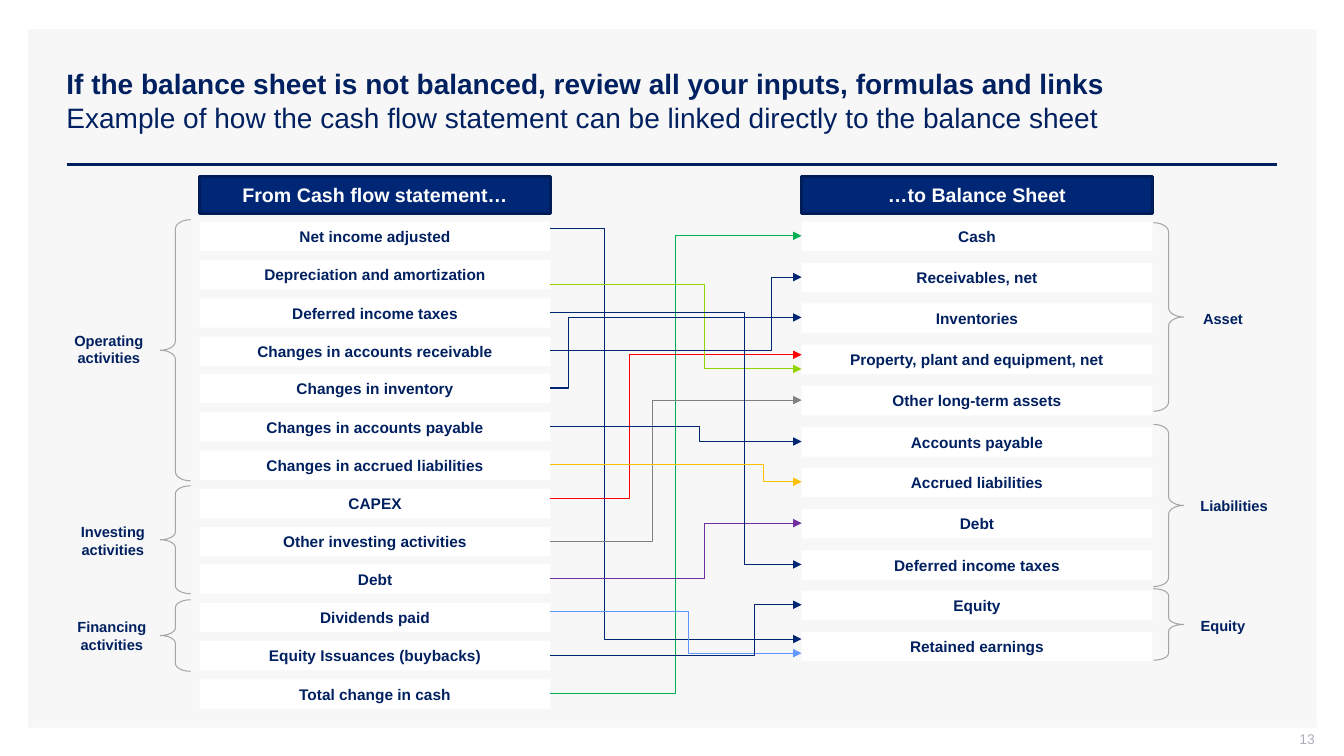
from dataclasses import dataclass

from pptx import Presentation
from pptx.dml.color import RGBColor
from pptx.enum.shapes import MSO_CONNECTOR, MSO_SHAPE
from pptx.enum.text import MSO_ANCHOR, PP_ALIGN
from pptx.oxml.ns import qn
from pptx.shapes.connector import Connector
from pptx.slide import Slide
from pptx.text.text import TextFrame
from pptx.util import Emu, Pt
from lxml.etree import SubElement

EMU_PER_PX = 9144  # 100 px to the inch


@dataclass(frozen=True)
class Theme:
    font: str = "Arial"
    panel: str = "F7F7F7"
    white: str = "FFFFFF"
    text: str = "002060"
    header: str = "002776"
    header_edge: str = "001D57"
    brace: str = "A6A6A6"
    page_number: str = "ADAFBB"
    navy: str = "002673"
    green: str = "00B050"
    lime: str = "92D400"
    blue: str = "6296FF"
    purple: str = "7030A0"
    red: str = "FF0000"
    grey: str = "808080"
    amber: str = "FFC000"
    title_size: float = 20
    header_size: float = 14
    row_size: float = 11
    label_size: float = 10.5
    number_size: float = 10
    thick: float = 2
    thin: float = 0.75


THEME = Theme()


@dataclass(frozen=True)
class Box:
    left: int
    top: int
    width: int
    height: int


@dataclass(frozen=True)
class Column:
    heading: str
    left: int
    last_top: int
    rows: tuple[str, ...]

    def row_top(self, name: str) -> int:
        step = (self.last_top - FIRST_TOP) / (len(self.rows) - 1)
        return round(FIRST_TOP + step * self.rows.index(name))


@dataclass(frozen=True)
class Group:
    label: str
    label_box: Box
    brace: MSO_SHAPE
    brace_box: Box
    curl: float


@dataclass(frozen=True)
class Link:
    source: str
    target: str
    bend: int
    colour: str = THEME.navy
    start_shift: int = 0
    end_shift: int = 0


FIRST_TOP, ROW_WIDTH, ROW_HEIGHT = 220, 348, 29
HEADER_TOP, HEADER_HEIGHT = 175, 37

CASH_FLOW = Column("From Cash flow statement…", 198, 674, (
    "Net income adjusted", "Depreciation and amortization", "Deferred income taxes",
    "Changes in accounts receivable", "Changes in inventory", "Changes in accounts payable",
    "Changes in accrued liabilities", "CAPEX", "Other investing activities", "Debt",
    "Dividends paid", "Equity Issuances (buybacks)", "Total change in cash"))
BALANCE = Column("…to Balance Sheet", 795, 627, (
    "Cash", "Receivables, net", "Inventories", "Property, plant and equipment, net",
    "Other long-term assets", "Accounts payable", "Accrued liabilities", "Debt",
    "Deferred income taxes", "Equity", "Retained earnings"))

LEFT, RIGHT = MSO_SHAPE.LEFT_BRACE, MSO_SHAPE.RIGHT_BRACE
GROUPS = (
    Group("Operating activities", Box(48, 324, 120, 45), LEFT, Box(159, 218, 30, 259), 0.3),
    Group("Investing activities", Box(52, 514, 120, 45), LEFT, Box(159, 482, 30, 107), 0.26),
    Group("Financing activities", Box(51, 608, 120, 45), LEFT, Box(159, 595, 30, 71), 0.26),
    Group("Asset", Box(1153, 302, 120, 28), RIGHT, Box(1144, 221, 30, 187), 0.3),
    Group("Liabilities", Box(1164, 488, 120, 28), RIGHT, Box(1144, 421, 30, 161), 0.3),
    Group("Equity", Box(1153, 607, 120, 28), RIGHT, Box(1144, 584, 30, 71), 0.23),
)
LINKS = (
    Link("Total change in cash", "Cash", 670, THEME.green),
    Link("Net income adjusted", "Retained earnings", 600, start_shift=-7, end_shift=-7),
    Link("Dividends paid", "Retained earnings", 683, THEME.blue, -5, 7),
    Link("Equity Issuances (buybacks)", "Equity", 748),
    Link("Debt", "Debt", 699, THEME.purple),
    Link("CAPEX", "Property, plant and equipment, net", 624, THEME.red, -4, -4),
    Link("Other investing activities", "Other long-term assets", 647, THEME.grey),
    Link("Depreciation and amortization", "Property, plant and equipment, net", 699,
         THEME.lime, 10, 10),
    Link("Deferred income taxes", "Deferred income taxes", 738),
    Link("Changes in accounts receivable", "Receivables, net", 765),
    Link("Changes in inventory", "Inventories", 564),
    Link("Changes in accounts payable", "Accounts payable", 694),
    Link("Changes in accrued liabilities", "Accrued liabilities", 757, THEME.amber),
)


def px(length: int) -> Emu:
    return Emu(length * EMU_PER_PX)


def place(box: Box) -> tuple[Emu, Emu, Emu, Emu]:
    return px(box.left), px(box.top), px(box.width), px(box.height)


def write(frame: TextFrame, spans: tuple[str, ...], size: float, colour: str,
          align: PP_ALIGN = PP_ALIGN.CENTER, bold: bool | None = True,
          anchor: MSO_ANCHOR = MSO_ANCHOR.MIDDLE) -> None:
    """Write one paragraph; each span after the first starts a new line."""
    frame.word_wrap = True
    frame.vertical_anchor = anchor
    para = frame.paragraphs[0]
    para.alignment = align
    para.font.name, para.font.size, para.font.bold = THEME.font, Pt(size), bold
    para.font.color.rgb = RGBColor.from_string(colour)
    for index, words in enumerate(spans):
        if index:
            para.add_line_break()
        para.add_run().text = words


def add_box(page: Slide, box: Box, fill: str, edge: str | None = None) -> TextFrame:
    shape = page.shapes.add_shape(MSO_SHAPE.RECTANGLE, *place(box))
    shape.shadow.inherit = False
    shape.fill.solid()
    shape.fill.fore_color.rgb = RGBColor.from_string(fill)
    if edge:
        shape.line.color.rgb = RGBColor.from_string(edge)
        shape.line.width = Pt(THEME.thick)
    else:
        shape.line.fill.background()
    return shape.text_frame


def add_line(page: Slide, kind: MSO_CONNECTOR, start: tuple[int, int], end: tuple[int, int],
             colour: str, width: float) -> Connector:
    line = page.shapes.add_connector(kind, *map(px, start + end))
    line.line.color.rgb = RGBColor.from_string(colour)
    line.line.width = Pt(width)
    SubElement(line._element.spPr, qn("a:effectLst"))
    return line


def add_column(page: Slide, column: Column) -> None:
    header = Box(column.left, HEADER_TOP, ROW_WIDTH, HEADER_HEIGHT)
    write(add_box(page, header, THEME.header, THEME.header_edge), (column.heading,),
          THEME.header_size, THEME.white)
    for name in column.rows:
        row = Box(column.left, column.row_top(name), ROW_WIDTH, ROW_HEIGHT)
        write(add_box(page, row, THEME.white), (name,), THEME.row_size, THEME.text)


def add_group(page: Slide, group: Group) -> None:
    brace = page.shapes.add_shape(group.brace, *place(group.brace_box))
    brace.shadow.inherit = False
    brace.fill.background()
    brace.line.color.rgb = RGBColor.from_string(THEME.brace)
    brace.line.width = Pt(THEME.thin)
    brace.adjustments[0] = group.curl
    label = page.shapes.add_textbox(*place(group.label_box))
    write(label.text_frame, (group.label,), THEME.label_size, THEME.text, anchor=MSO_ANCHOR.TOP)


def add_link(page: Slide, link: Link) -> None:
    start_x, end_x = CASH_FLOW.left + ROW_WIDTH, BALANCE.left
    start_y = CASH_FLOW.row_top(link.source) + ROW_HEIGHT // 2 + link.start_shift
    end_y = BALANCE.row_top(link.target) + ROW_HEIGHT // 2 + link.end_shift
    line = add_line(page, MSO_CONNECTOR.ELBOW, (start_x, start_y), (end_x, end_y),
                    link.colour, THEME.thin)
    bend = round(100000 * (link.bend - start_x) / (end_x - start_x))
    guides = line._element.spPr.prstGeom.get_or_add_avLst()
    SubElement(guides, qn("a:gd"), name="adj1", fmla=f"val {bend}")
    SubElement(line.line._get_or_add_ln(), qn("a:tailEnd"), type="triangle")


def main() -> None:
    deck = Presentation()
    deck.slide_width, deck.slide_height = px(1333), px(750)
    page = deck.slides.add_slide(deck.slide_layouts[6])

    # Panel, title and rule
    add_box(page, Box(28, 29, 1278, 693), THEME.panel)
    add_line(page, MSO_CONNECTOR.STRAIGHT, (66, 163), (1267, 163), THEME.text, THEME.thick)
    title = page.shapes.add_textbox(*place(Box(56, 40, 1211, 119))).text_frame
    write(title, ("If the balance sheet is not balanced, review all your inputs, formulas and links",
                  "Example of how the cash flow statement can be linked directly to the balance sheet"),
          THEME.title_size, THEME.text, PP_ALIGN.LEFT, bold=None)
    title.paragraphs[0].runs[0].font.bold = True

    # Page number
    number = page.shapes.add_textbox(*place(Box(1004, 725, 300, 21))).text_frame
    number.margin_top, number.margin_right, number.margin_bottom = 0, 0, px(5)
    write(number, ("13",), THEME.number_size, THEME.page_number, PP_ALIGN.RIGHT, bold=False)

    # Statements, their groups and the links between them
    for column in (CASH_FLOW, BALANCE):
        add_column(page, column)
    for group in GROUPS:
        add_group(page, group)
    for link in LINKS:
        add_link(page, link)

    deck.save("out.pptx")


if __name__ == "__main__":
    main()
